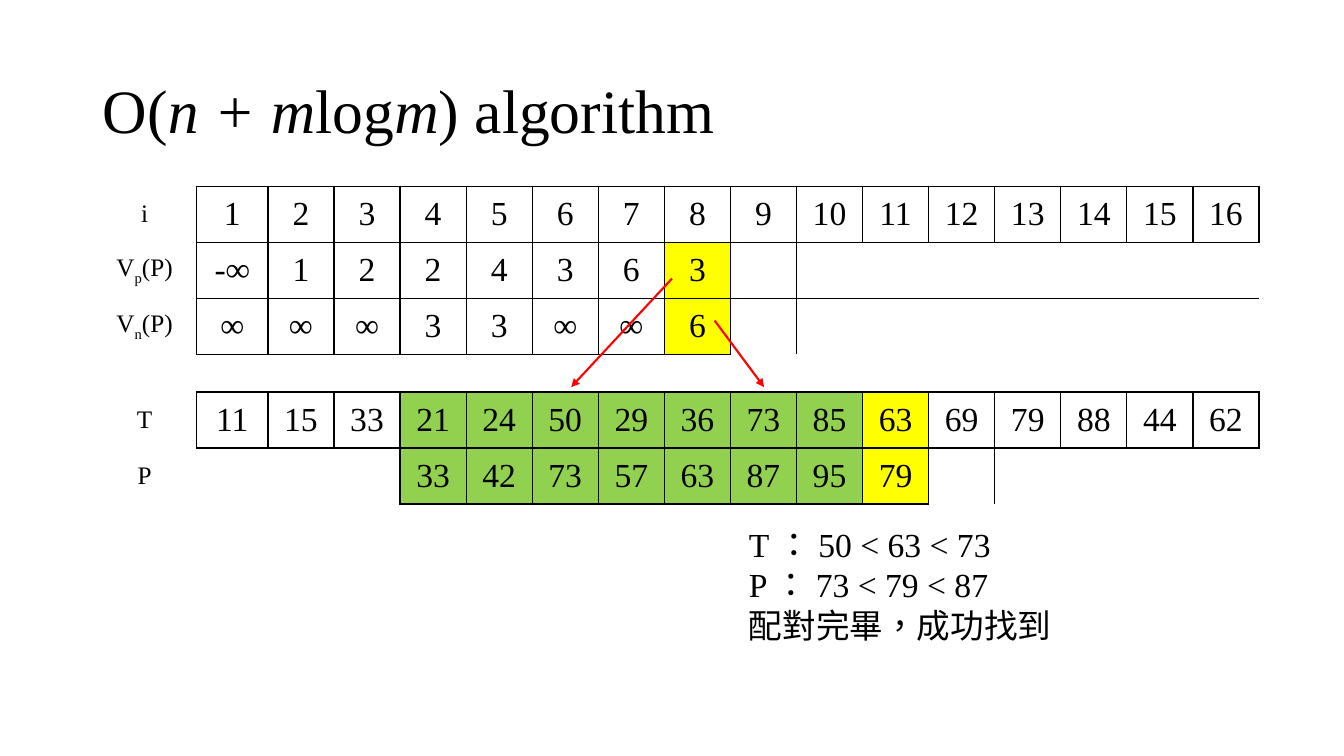
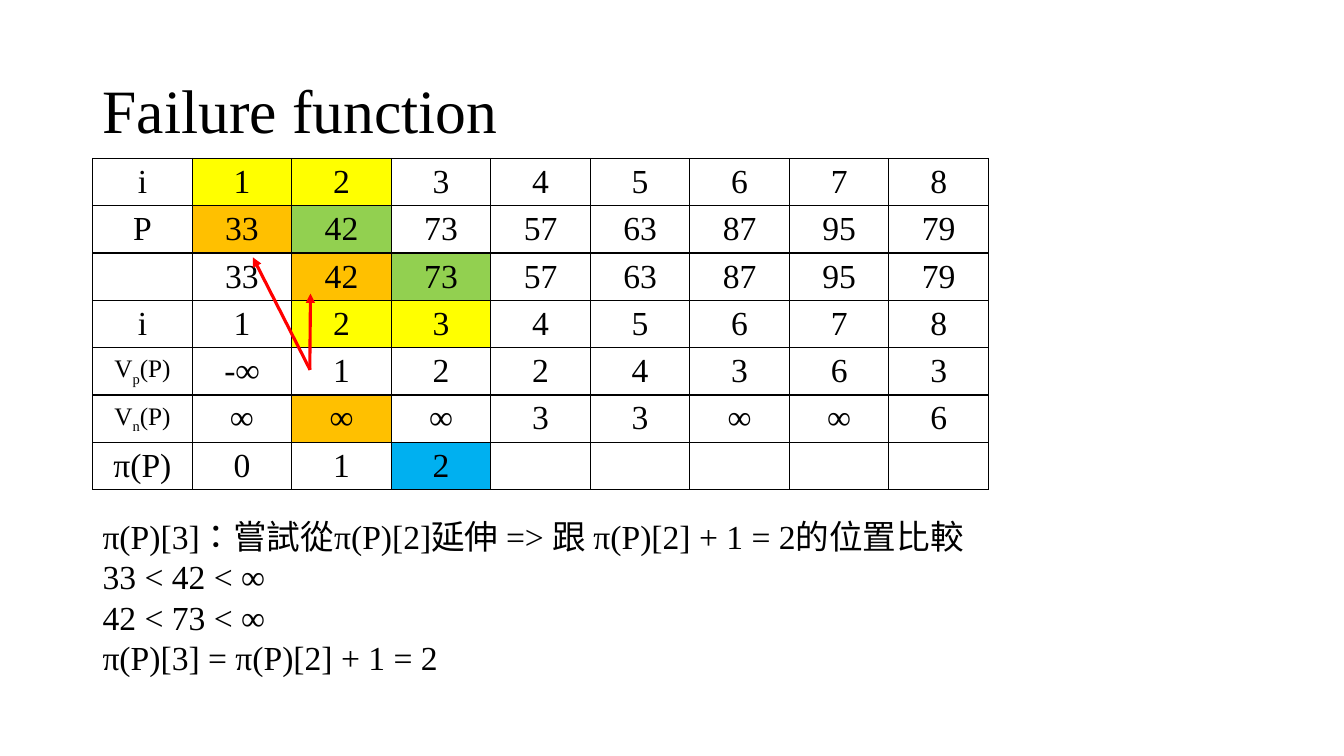
from lxml.etree import SubElement
from pptx import Presentation
from pptx.dml.color import RGBColor
from pptx.enum.shapes import MSO_CONNECTOR
from pptx.enum.text import MSO_ANCHOR, PP_ALIGN
from pptx.oxml.ns import qn
from pptx.util import Pt

FONT = "Times New Roman"
COLORS = {"text": "000000", "arrow": "FF0000", "yellow": "FFFF00",
          "green": "92D050", "orange": "FFC000", "blue": "00B0F0"}
NO_GRID = "{2D5ABB26-0587-4C30-8999-92F81FD0307C}"
LEFT = 66.2

# Content: a text is a string or a list of (text, style) runs
VP = [("V", ""), ("p", "sub"), ("(P)", "")]
VN = [("V", ""), ("n", "sub"), ("(P)", "")]
PREV = [[("-", ""), ("∞", "bold")], *"1224363"]
NEXT = list("∞∞∞33∞∞6")
PATTERN = "33 42 73 57 63 87 95 79".split()
TEXT = "11 15 33 21 24 50 29 36 73 85 63 69 79 88 44 62".split()

SLIDES = [
    {
        "title": [("O(", ""), ("n + m", "italic"), ("log", ""),
                  ("m", "italic"), (") algorithm", "")],
        "top": 133,
        "cols": [74.2, 51] + [47.2] * 15,
        "heights": [40, 40, 40, 27, 40, 40],
        "rows": [
            ["i"] + [str(i) for i in range(1, 17)],
            [VP] + PREV,
            [VN] + NEXT,
            [],
            ["T"] + TEXT,
            ["P", "", "", ""] + PATTERN,
        ],
        "small_labels": range(6),
        "boxed_labels": False,
        # fill: (row, first column, last column)
        "fills": [("yellow", 1, 8, 8), ("yellow", 2, 8, 8),
                  ("green", 4, 4, 10), ("yellow", 4, 11, 11),
                  ("green", 5, 4, 10), ("yellow", 5, 11, 11)],
        "notes_box": (527.8, 370.8, 400, 94),
        "notes": ["T ： 50 < 63 < 73", "P ： 73 < 79 < 87",
                  "配對完畢，成功找到"],
        "arrow_width": 1.5,
        "arrows": [(480, 199, 408, 276.5), (510.5, 229, 545.8, 276.5)],
    },
    {
        "title": "Failure function",
        "top": 113.2,
        "cols": [71.1] * 9,
        "heights": [33.8] * 7,
        "rows": [
            ["i", *"12345678"],
            ["P"] + PATTERN,
            [""] + PATTERN,
            ["i", *"12345678"],
            [VP] + PREV,
            [VN] + NEXT,
            ["π(P)", *"012"],
        ],
        "small_labels": (4, 5),
        "boxed_labels": True,
        "fills": [("yellow", 0, 1, 2), ("orange", 1, 1, 1),
                  ("green", 1, 2, 2), ("orange", 2, 2, 2),
                  ("green", 2, 3, 3), ("yellow", 3, 2, 3),
                  ("orange", 5, 2, 2), ("blue", 6, 3, 3)],
        "notes_box": (LEFT, 365, 701, 124),
        "notes": ["π(P)[3]：嘗試從π(P)[2]延伸 => 跟 π(P)[2] + 1 = 2的位置比較",
                  "33 < 42 < ∞", "42 < 73 < ∞",
                  "π(P)[3] = π(P)[2] + 1 = 2"],
        "arrow_width": 2.25,
        "arrows": [(221.5, 264.2, 180.6, 183.8), (221.3, 264.2, 221.8, 209.7)],
    },
]


def rgb(name):
    return RGBColor.from_string(COLORS[name])


def write(p, text, size):
    runs = [(text, "")] if isinstance(text, str) else text
    for words, style in runs:
        r = p.add_run()
        r.text = words
        r.font.name, r.font.size = FONT, Pt(size)
        r.font.color.rgb = rgb("text")
        r.font.bold, r.font.italic = style == "bold", style == "italic"
        rPr = r._r.get_or_add_rPr()
        rPr.set("lang", "zh-TW")
        if style == "sub":
            rPr.set("baseline", "-25000")


def draw_borders(cell, sides):
    tcPr = cell._tc.get_or_add_tcPr()
    for side in sides:
        ln = SubElement(tcPr, qn(f"a:ln{side}"), w=str(Pt(1)))
        fill = SubElement(ln, qn("a:solidFill"))
        SubElement(fill, qn("a:srgbClr"), val=COLORS["text"])


def add_grid(slide, data):
    cols, heights, rows = data["cols"], data["heights"], data["rows"]
    frame = slide.shapes.add_table(
        len(rows), len(cols), Pt(LEFT), Pt(data["top"]),
        Pt(sum(cols)), Pt(sum(heights)))
    table = frame.table
    table.first_row = table.horz_banding = False
    frame._element.find(".//" + qn("a:tableStyleId")).text = NO_GRID
    for col, width in zip(table.columns, cols):
        col.width = Pt(width)
    for row, height in zip(table.rows, heights):
        row.height = Pt(height)

    fills = {(r, c): name for name, r, first, last in data["fills"]
             for c in range(first, last + 1)}
    cells = [(r, c) for r in range(len(rows)) for c in range(len(cols))]
    texts = {(r, c): text for r, row in enumerate(rows)
             for c, text in enumerate(row)}
    boxed = {(r, c) for r, c in cells
             if data["boxed_labels"] or (c > 0 and texts.get((r, c)))}

    for r, c in cells:
        cell = table.cell(r, c)
        cell.vertical_anchor = MSO_ANCHOR.MIDDLE
        cell.margin_top = cell.margin_bottom = 0
        # An edge shows when the cell on either side of it is boxed
        around = {"L": (r, c - 1), "R": (r, c + 1),
                  "T": (r - 1, c), "B": (r + 1, c)}
        draw_borders(cell, [side for side, near in around.items()
                            if (r, c) in boxed or near in boxed])
        if (r, c) in fills:
            cell.fill.solid()
            cell.fill.fore_color.rgb = rgb(fills[r, c])
        else:
            cell.fill.background()
        if texts.get((r, c)):
            p = cell.text_frame.paragraphs[0]
            p.alignment = PP_ALIGN.CENTER
            small = c == 0 and r in data["small_labels"]
            write(p, texts[r, c], 18 if small else 24)


def add_notes(slide, box, lines):
    tf = slide.shapes.add_textbox(*map(Pt, box)).text_frame
    tf.word_wrap = True
    for i, line in enumerate(lines):
        p = tf.add_paragraph() if i else tf.paragraphs[0]
        write(p, line, 24)


def add_arrow(slide, ends, width):
    line = slide.shapes.add_connector(MSO_CONNECTOR.STRAIGHT, *map(Pt, ends))
    line.line.color.rgb = rgb("arrow")
    line.line.width = Pt(width)
    SubElement(line.line._get_or_add_ln(), qn("a:tailEnd"), type="triangle")
    SubElement(line._element.spPr, qn("a:effectLst"))


def add_slide(prs, data):
    slide = prs.slides.add_slide(prs.slide_layouts[5])
    # Title
    title = slide.shapes.title
    title.left, title.top, title.width, title.height = map(
        Pt, (LEFT, 28.8, 828, 104.4))
    tf = title.text_frame
    tf.vertical_anchor = MSO_ANCHOR.MIDDLE
    p = tf.paragraphs[0]
    p.alignment, p.line_spacing = PP_ALIGN.LEFT, 0.9
    write(p, data["title"], 44)
    # Table, explanation and arrows
    add_grid(slide, data)
    add_notes(slide, data["notes_box"], data["notes"])
    for ends in data["arrows"]:
        add_arrow(slide, ends, data["arrow_width"])


def main():
    prs = Presentation()
    prs.slide_width, prs.slide_height = Pt(960), Pt(540)
    for data in SLIDES:
        add_slide(prs, data)
    prs.save("out.pptx")


if __name__ == "__main__":
    main()
